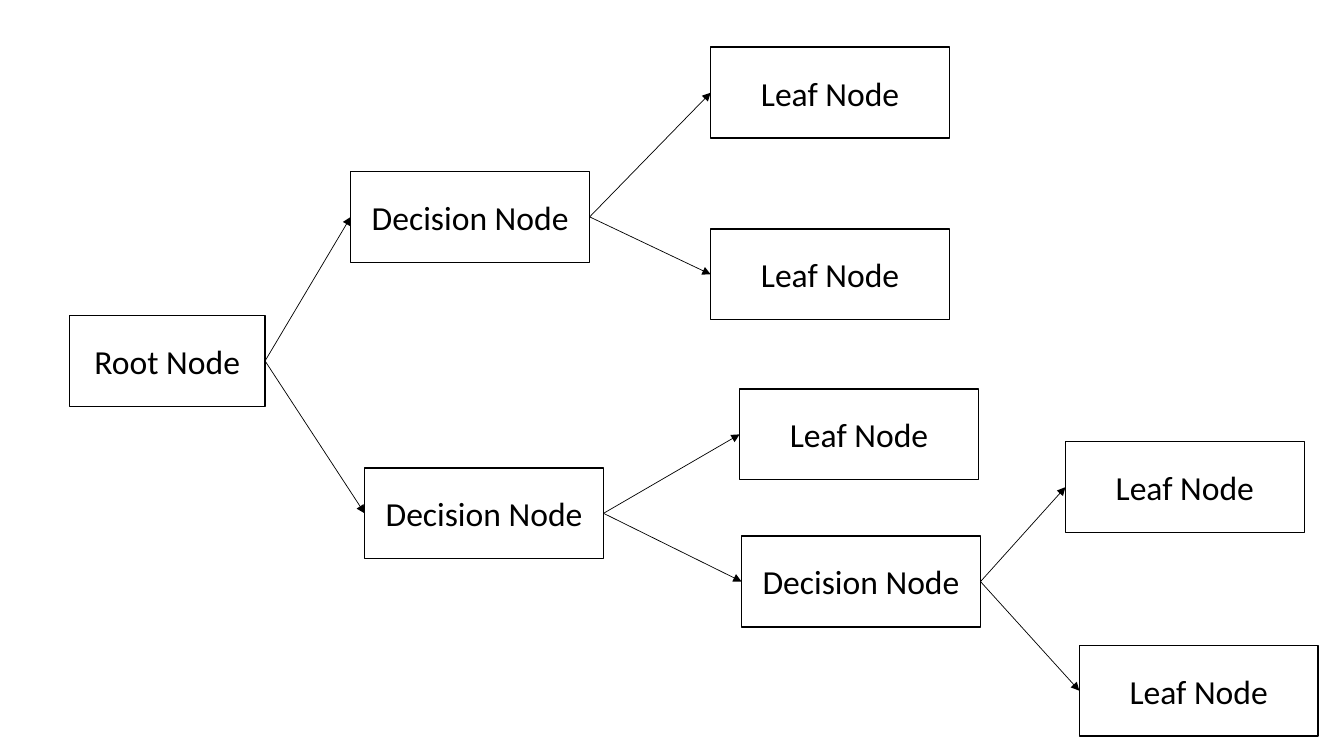
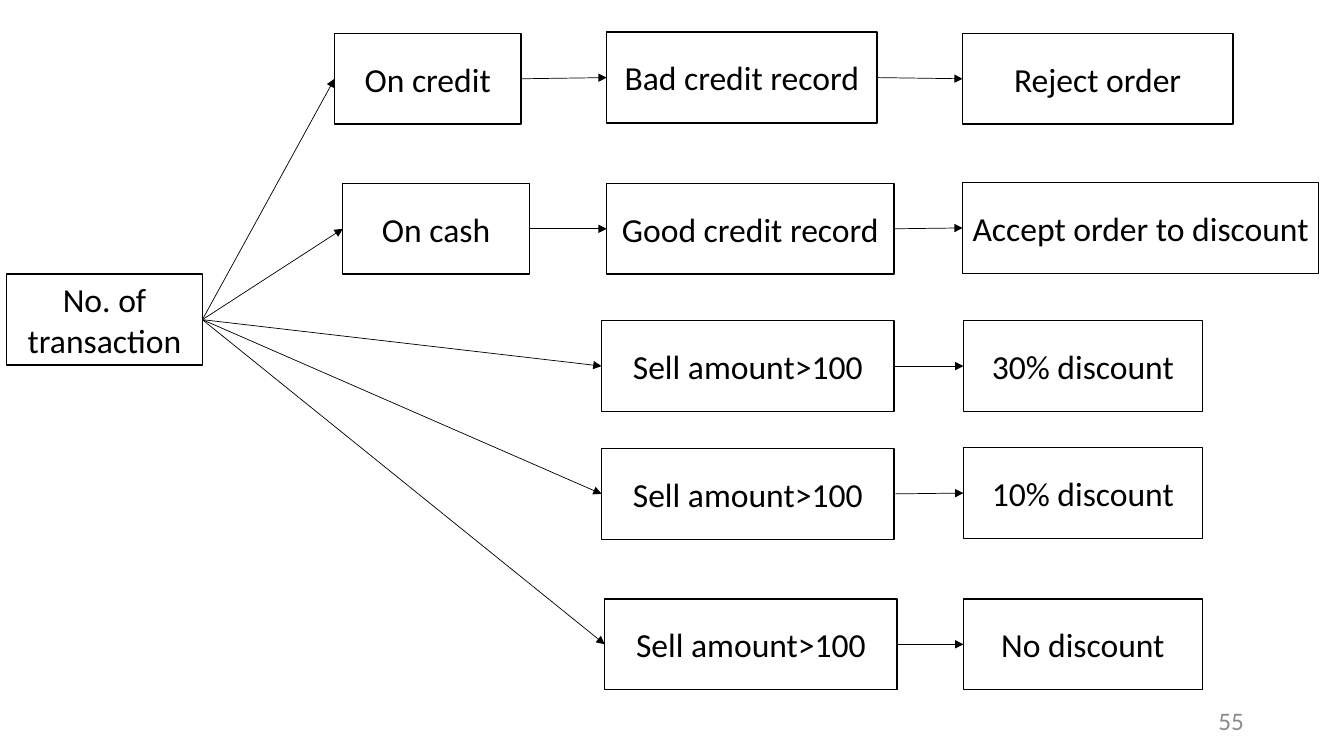
"""Build two decision tree slides."""
from lxml import etree
from pptx import Presentation
from pptx.dml.color import RGBColor
from pptx.enum import shapes, text
from pptx.oxml.ns import qn
from pptx.util import Cm, Pt

COLORS = {"ink": "000000", "paper": "FFFFFF", "muted": "8C8C8C"}
NODE_HEIGHT = 2.29
LEFT_SITE, RIGHT_SITE = 1, 3
NODE_FORMAT = {"size": Pt(24), "name": "Calibri"}
NUMBER_FORMAT = {"size": Pt(18), "name": "Calibri"}
FRAME = {"word_wrap": True, "vertical_anchor": text.MSO_ANCHOR.MIDDLE,
         "margin_left": Cm(0.2), "margin_right": Cm(0.2)}

# Each node: label, parent index, left, top, width.
SLIDES = [
    {"nodes": [
        ("Root Node", None, 1.75, 7.95, 4.93),
        ("Decision Node", 0, 8.84, 4.32, 6.02),
        ("Decision Node", 0, 9.19, 11.79, 6.02),
        ("Decision Node", 2, 18.69, 13.51, 6.02),
        ("Leaf Node", 1, 17.91, 1.19, 6.02),
        ("Leaf Node", 1, 17.91, 5.77, 6.02),
        ("Leaf Node", 2, 18.64, 9.8, 6.02),
        ("Leaf Node", 3, 26.85, 11.13, 6.02),
        ("Leaf Node", 3, 27.2, 16.26, 6.02),
    ], "number": None},
    {"nodes": [
        ("No. of transaction", None, 0.17, 6.91, 4.93),
        ("On credit", 0, 8.43, 0.84, 4.7),
        ("On cash", 0, 8.64, 4.62, 4.7),
        ("Bad credit record", 1, 15.29, 0.81, 6.81),
        ("Good credit record", 2, 15.29, 4.62, 7.24),
        ("Sell amount>100", 0, 15.16, 8.08, 7.37),
        ("Sell amount>100", 0, 15.16, 11.3, 7.37),
        ("Sell amount>100", 0, 15.24, 15.09, 7.37),
        ("Reject order", 3, 24.26, 0.84, 6.81),
        ("Accept order to discount", 4, 24.26, 4.6, 8.97),
        ("30% discount", 5, 24.28, 8.08, 6.02),
        ("10% discount", 6, 24.28, 11.28, 6.02),
        ("No discount", 7, 24.28, 15.09, 6.02),
    ], "number": "55"},
]


def color(name):
    return RGBColor.from_string(COLORS[name])


def set_all(target, values):
    for name, value in values.items():
        setattr(target, name, value)


def write(sp, label, align, font, ink):
    tf = sp.text_frame
    set_all(tf, FRAME)
    p = tf.paragraphs[0]
    p.alignment = align
    r = p.add_run()
    r.text = label
    set_all(r.font, font)
    r.font.color.rgb = color(ink)


def add_node(s, label, left, top, width):
    sp = s.shapes.add_shape(shapes.MSO_SHAPE.RECTANGLE, Cm(left), Cm(top),
                            Cm(width), Cm(NODE_HEIGHT))
    sp.shadow.inherit = False
    sp.fill.solid()
    sp.fill.fore_color.rgb = color("paper")
    sp.line.color.rgb = color("ink")
    sp.line.width = Pt(1)
    write(sp, label, text.PP_ALIGN.CENTER, NODE_FORMAT, "ink")
    return sp


def add_arrow(s, parent, child):
    arrow = s.shapes.add_connector(shapes.MSO_CONNECTOR.STRAIGHT, 0, 0, 0, 0)
    arrow.begin_connect(parent, RIGHT_SITE)
    arrow.end_connect(child, LEFT_SITE)
    arrow.line.color.rgb = color("ink")
    arrow.line.width = Pt(0.5)
    ln = arrow.line._get_or_add_ln()
    etree.SubElement(ln, qn("a:tailEnd"), type="triangle")
    etree.SubElement(arrow._element.spPr, qn("a:effectLst"))


def add_number(s, number):
    sp = s.shapes.add_textbox(Cm(23.93), Cm(17.65), Cm(7.62), Cm(1.02))
    write(sp, number, text.PP_ALIGN.RIGHT, NUMBER_FORMAT, "muted")


def main():
    prs = Presentation()
    prs.slide_width, prs.slide_height = Cm(33.87), Cm(19.05)
    for slide in SLIDES:
        s = prs.slides.add_slide(prs.slide_layouts[6])
        if slide["number"]:
            add_number(s, slide["number"])
        boxes = [add_node(s, label, *place)
                 for label, _, *place in slide["nodes"]]
        for box, (_, parent, *_) in zip(boxes, slide["nodes"]):
            if parent is not None:
                add_arrow(s, boxes[parent], box)
    prs.save("out.pptx")


if __name__ == "__main__":
    main()
